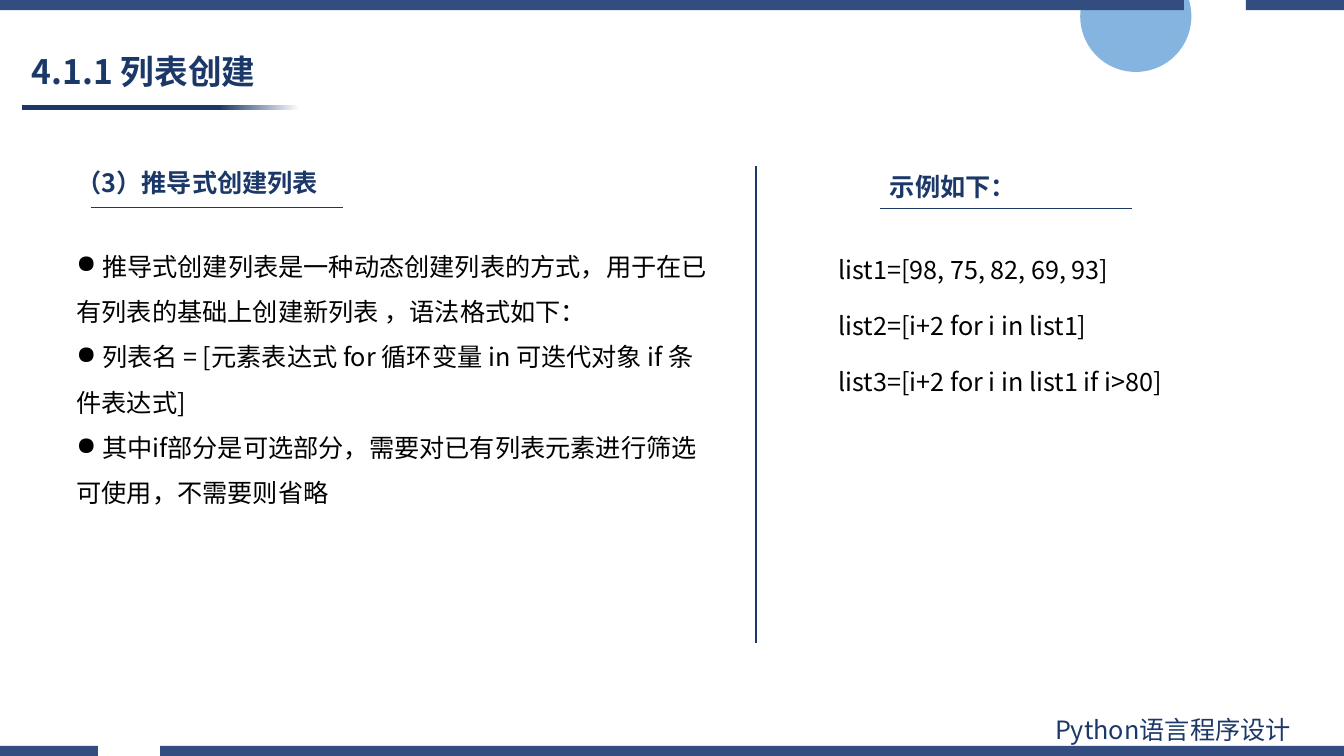
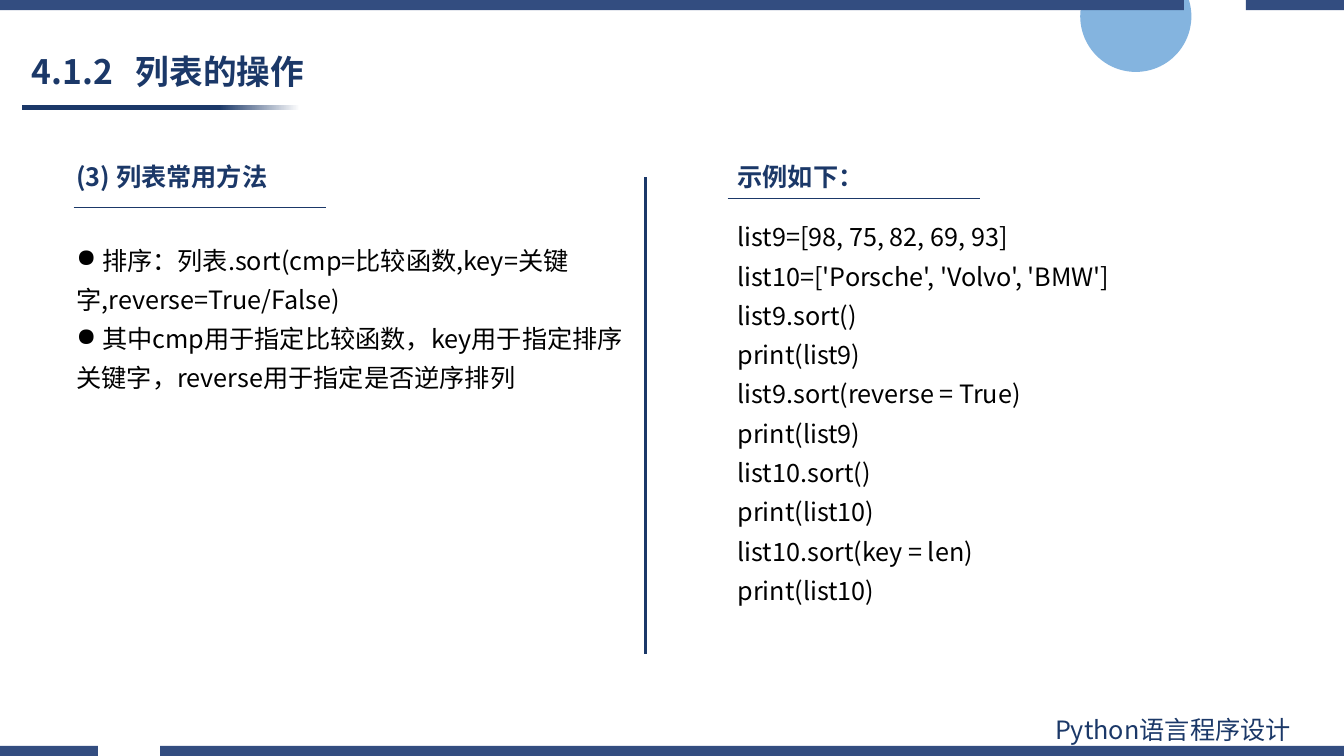
from pptx import Presentation
from pptx.dml.color import RGBColor
from pptx.enum.shapes import MSO_CONNECTOR, MSO_SHAPE
from pptx.enum.text import MSO_ANCHOR
from pptx.oxml.ns import qn
from pptx.util import Pt
from lxml import etree

STRAIGHT = MSO_CONNECTOR.STRAIGHT
OVAL = MSO_SHAPE.OVAL
RECT = MSO_SHAPE.RECTANGLE
TOP = MSO_ANCHOR.TOP
MIDDLE = MSO_ANCHOR.MIDDLE

WIDE, HIGH = 960, 540
BAND = 7.2
FONT = "Noto Sans CJK SC"
NAVY, STEEL, SKY = "1B3868", "334D80", "5B9BD5"
BLACK, WHITE = "000000", "FFFFFF"
FOOTER = "Python语言程序设计"
PARTS = [(0, 70), (114.4, WIDE)]
RULE = 180
SPLIT = 340.6

SLIDES = [
    {
        "title": "4.1.1 列表创建",
        "tab": None,
        "split": (540, 118.8),
        "heads": [
            ("（3）推导式创建列表", (47.5, 115.9), (64.8, 148.3)),
            ("示例如下：", (628.6, 118.8), (628.6, 149)),
        ],
        "notes": [
            " 推导式创建列表是一种动态创建列表的方式，用于在已有列表的基础上创建新列表 ，语法格式如下：",
            " 列表名 = [元素表达式 for 循环变量 in 可迭代对象 if 条件表达式]",
            " 其中if部分是可选部分，需要对已有列表元素进行筛选可使用，不需要则省略",
        ],
        "body": (47.5, 164.9, 471.6, 203.8),
        "lead": 1.5,
        "code": [
            "list1=[98, 75, 82, 69, 93]",
            "list2=[i+2 for i in list1]",
            "list3=[i+2 for i in list1 if i>80]",
        ],
        "demo": (591.8, 171.4, 364.3, 150.5),
        "gap": 12,
    },
    {
        "title": "4.1.2\t列表的操作",
        "tab": 74.3,
        "split": (460.8, 126.7),
        "heads": [
            ("(3) 列表常用方法", (47.5, 111.6), (52.6, 148.3)),
            ("示例如下：", (519.8, 111.6), (519.8, 141.8)),
        ],
        "notes": [
            " 排序：列表.sort(cmp=比较函数,key=关键字,reverse=True/False)",
            " 其中cmp用于指定比较函数，key用于指定排序关键字，reverse用于指定是否逆序排列",
        ],
        "body": (47.5, 164.9, 411.1, 121),
        "lead": 1.3,
        "code": [
            "list9=[98, 75, 82, 69, 93]",
            "list10=['Porsche', 'Volvo', 'BMW']",
            "list9.sort()",
            "print(list9)",
            "list9.sort(reverse = True)",
            "print(list9)",
            "list10.sort()",
            "print(list10)",
            "list10.sort(key = len)",
            "print(list10)",
        ],
        "demo": (519.8, 148.3, 334.1, 290.9),
        "gap": 0,
    },
]


def color(code):
    return RGBColor.from_string(code)


def paint(shape, code):
    shape.shadow.inherit = False
    shape.fill.solid()
    shape.fill.fore_color.rgb = color(code)
    shape.line.fill.background()


def write(slide, text, box, size=18, ink=BLACK, bold=False, lead=None,
          gap=0, mark=None, tab=None, anchor=TOP):
    frame = slide.shapes.add_textbox(*map(Pt, box)).text_frame
    frame.word_wrap = True
    frame.vertical_anchor = anchor
    lines = [text] if isinstance(text, str) else text
    for n, line in enumerate(lines):
        para = frame.add_paragraph() if n else frame.paragraphs[0]
        props = para._p.get_or_add_pPr()
        if mark:
            etree.SubElement(props, qn("a:buChar")).set("char", mark)
        if tab:
            stops = etree.SubElement(props, qn("a:tabLst"))
            stop = etree.SubElement(stops, qn("a:tab"))
            stop.set("pos", str(Pt(tab)))
            stop.set("algn", "l")
        if lead:
            para.line_spacing = lead
        para.space_after = Pt(gap)
        run = para.add_run()
        run.text = line
        font = run.font
        font.size, font.bold, font.name = Pt(size), bold, FONT
        font.color.rgb = color(ink)
        east = etree.SubElement(run._r.get_or_add_rPr(), qn("a:ea"))
        east.set("typeface", FONT)


def rule(slide, start, wide, high, weight):
    x, y = start
    ends = map(Pt, (x, y, x + wide, y + high))
    line = slide.shapes.add_connector(STRAIGHT, *ends)
    line.line.color.rgb = color(NAVY)
    line.line.width = Pt(weight)
    etree.SubElement(line._element.spPr, qn("a:effectLst"))


def band(slide, top, parts):
    build = None
    for left, right in parts:
        x, y, end, base = map(Pt, (left, top, right, top + BAND))
        if build is None:
            build = slide.shapes.build_freeform(x, y)
        else:
            build.move_to(x, y)
        build.add_line_segments([(end, y), (end, base), (x, base)], close=True)
    paint(build.convert_to_shape(), STEEL)


def dress(slide):
    disc = slide.shapes.add_shape(OVAL, Pt(771.6), Pt(-28), Pt(79.4), Pt(79.4))
    paint(disc, SKY)
    tint = disc._element.xpath(".//a:srgbClr")[0]
    etree.SubElement(tint, qn("a:alpha")).set("val", "75000")

    bar = slide.shapes.add_shape(RECT, Pt(15.5), Pt(75.2), Pt(198.7), Pt(3.6))
    paint(bar, NAVY)
    bar.fill.gradient()
    bar.fill.gradient_angle = 0
    for stop, ink, spot in zip(bar.fill.gradient_stops, (NAVY, WHITE), (0.71, 1)):
        stop.color.rgb = color(ink)
        stop.position = spot

    band(slide, HIGH - BAND, PARTS)
    band(slide, 0, [(WIDE - b, WIDE - a) for a, b in reversed(PARTS)])
    write(slide, FOOTER, (746.6, 506.9, 211.7, 28.8), ink=NAVY)


def main():
    deck = Presentation()
    deck.slide_width, deck.slide_height = Pt(WIDE), Pt(HIGH)
    for page in SLIDES:
        slide = deck.slides.add_slide(deck.slide_layouts[6])
        dress(slide)
        write(slide, page["title"], (15.8, 32.4, 434.9, 40.3), size=24,
              ink=NAVY, bold=True, lead=0.9, tab=page["tab"], anchor=MIDDLE)
        rule(slide, page["split"], 0, SPLIT, 2)
        for text, spot, under in page["heads"]:
            write(slide, text, (*spot, 244.8, 28.8), ink=NAVY, bold=True)
            rule(slide, under, RULE, 0, 0.5)
        write(slide, page["notes"], page["body"], lead=page["lead"], mark="●")
        write(slide, page["code"], page["demo"], lead=1.3, gap=page["gap"])
    deck.save("out.pptx")


if __name__ == "__main__":
    main()
